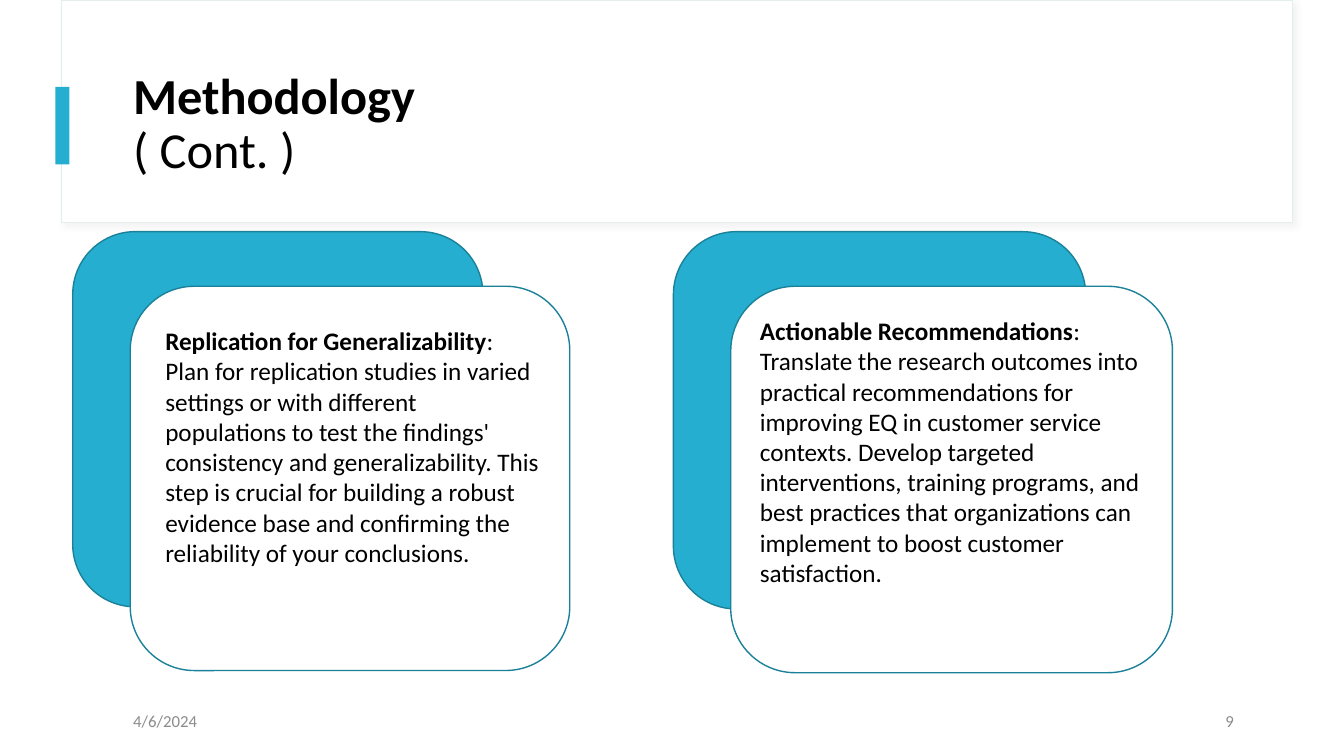
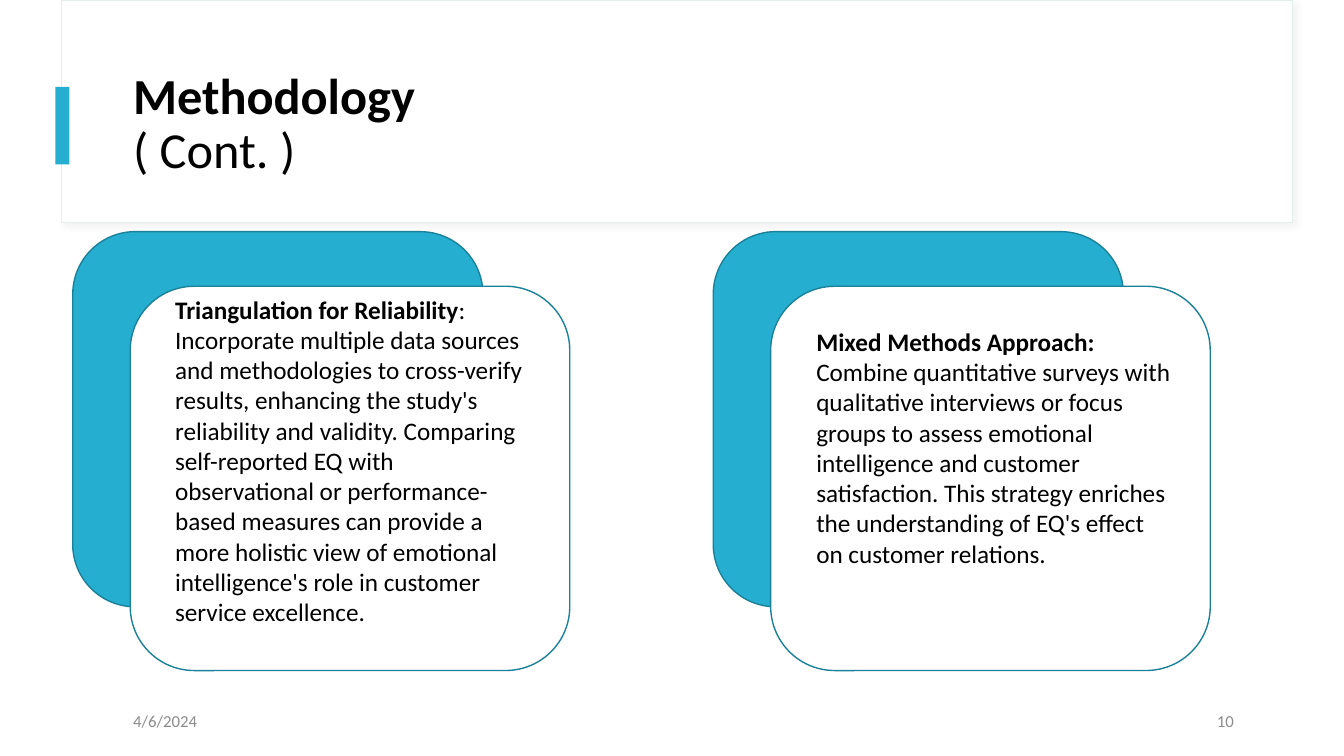
from lxml.etree import SubElement
from pptx import Presentation
from pptx.dml.color import RGBColor
from pptx.enum.shapes import MSO_SHAPE
from pptx.enum.text import MSO_ANCHOR, PP_ALIGN
from pptx.oxml.ns import qn
from pptx.util import Pt

WHITE = RGBColor(0xFF, 0xFF, 0xFF)
BLACK = RGBColor(0x00, 0x00, 0x00)
GREY = RGBColor(0x8C, 0x8C, 0x8C)
TEAL = RGBColor(0x25, 0xAE, 0xCF)
DARK_TEAL = RGBColor(0x1B, 0x81, 0x99)
PALE = RGBColor(0xE3, 0xEF, 0xED)
FONT = "Calibri"
DATE = "4/6/2024"

SLIDES = [
    (9, [
        ((52, 165.5, 355, 313.5), (59, 63.5, 283, 225),
         "Replication for Generalizability",
         ": Plan for replication studies in varied settings or with different "
         "populations to test the findings' consistency and generalizability. "
         "This step is crucial for building a robust evidence base and "
         "confirming the reliability of your conclusions."),
        ((481, 165.5, 356.5, 315), (54.7, 56.2, 287.3, 204),
         "Actionable Recommendations",
         ": Translate the research outcomes into practical recommendations for "
         "improving EQ in customer service contexts. Develop targeted "
         "interventions, training programs, and best practices that "
         "organizations can implement to boost customer satisfaction."),
    ]),
    (10, [
        ((52, 165.5, 355, 313.5), (66, 41, 263, 269),
         "Triangulation for Reliability",
         ": Incorporate multiple data sources and methodologies to cross-verify "
         "results, enhancing the study's reliability and validity. Comparing "
         "self-reported EQ with observational or performance-based measures can "
         "provide a more holistic view of emotional intelligence's role in "
         "customer service excellence."),
        ((509.5, 165.5, 355, 313.5), (66.5, 64, 268, 204),
         "Mixed Methods Approach: ",
         "Combine quantitative surveys with qualitative interviews or focus "
         "groups to assess emotional intelligence and customer satisfaction. "
         "This strategy enriches the understanding of EQ's effect on customer "
         "relations."),
    ]),
]


def add_box(shapes, kind, box, fill, line=None, weight=1):
    """Add a filled preset shape with an optional outline."""
    sp = shapes.add_shape(kind, *map(Pt, box))
    sp.shadow.inherit = False
    sp.fill.solid()
    sp.fill.fore_color.rgb = fill
    if line is None:
        sp.line.fill.background()
    else:
        sp.line.color.rgb = line
        sp.line.width = Pt(weight)
    return sp


def add_shadow(sp):
    """Give a shape a soft grey shadow to the lower right."""
    effects = sp.element.spPr.find(qn("a:effectLst"))
    shadow = SubElement(effects, qn("a:outerShdw"), blurRad=str(Pt(4)),
                        dist=str(Pt(3)), dir="2700000", algn="tl", rotWithShape="0")
    color = SubElement(shadow, qn("a:srgbClr"), val="D9D9D9")
    SubElement(color, qn("a:alpha"), val="30000")


def add_text(s, box, runs, size, color, anchor=MSO_ANCHOR.TOP, align=PP_ALIGN.LEFT):
    """Add a wrapped one-paragraph text box from (text, bold) runs."""
    tf = s.shapes.add_textbox(*map(Pt, box)).text_frame
    tf.word_wrap = True
    tf.vertical_anchor = anchor
    p = tf.paragraphs[0]
    p.alignment = align
    for text, bold in runs:
        if p.runs and text.startswith("("):
            p.add_line_break()
        r = p.add_run()
        r.text = text
        r.font.name = FONT
        r.font.size = Pt(size)
        r.font.bold = bold
        r.font.color.rgb = color
    return p


def add_header(s, x, w, h):
    """Draw the title panel with its accent bar and title."""
    panel = add_box(s.shapes, MSO_SHAPE.RECTANGLE, (x, 0, w, h), WHITE, PALE, 0.75)
    add_shadow(panel)
    add_box(s.shapes, MSO_SHAPE.RECTANGLE, (x - 4.5, 62, 10, 55.5), TEAL)
    p = add_text(s, (x + 44, 43, 800.5, 93), [("Methodology", True), ("( Cont. )", False)],
                 36, BLACK, MSO_ANCHOR.MIDDLE)
    p.line_spacing = 0.9


def add_footer(s, x, y, w, number):
    """Place the date at the left and the slide number at the right."""
    field = 216
    add_text(s, (x, y, field, 29), [(DATE, False)], 12, GREY, MSO_ANCHOR.MIDDLE)
    add_text(s, (x + w - field, y, field, 29), [(str(number), False)], 12, GREY,
             MSO_ANCHOR.MIDDLE, PP_ALIGN.RIGHT)


def add_card(s, box, text_box, heading, body):
    """Draw two overlapping rounded panels with text on the front one."""
    x, y, w, h = box
    dx, dy, text_w, text_h = text_box
    shapes = s.shapes.add_group_shape().shapes
    panels = [((x, y, w - 62, h - 45.5), TEAL),
              ((x + 41, y + 39, w - 41, h - 39), WHITE)]
    for panel, fill in panels:
        add_box(shapes, MSO_SHAPE.ROUNDED_RECTANGLE, panel, fill, DARK_TEAL)
    add_text(s, (x + dx, y + dy, text_w, text_h),
             [(heading, True), (body, False)], 18, BLACK)


def add_method_slide(prs, number, cards):
    """Build one methodology slide."""
    s = prs.slides.add_slide(prs.slide_layouts[6])
    add_header(s, 44, 879, 159)
    add_footer(s, 88, 500.5, 800.5, number)
    for card in cards:
        add_card(s, *card)


def main():
    """Build and save the presentation."""
    prs = Presentation()
    prs.slide_width, prs.slide_height = Pt(960), Pt(540)
    for number, cards in SLIDES:
        add_method_slide(prs, number, cards)
    prs.save("out.pptx")


if __name__ == "__main__":
    main()
